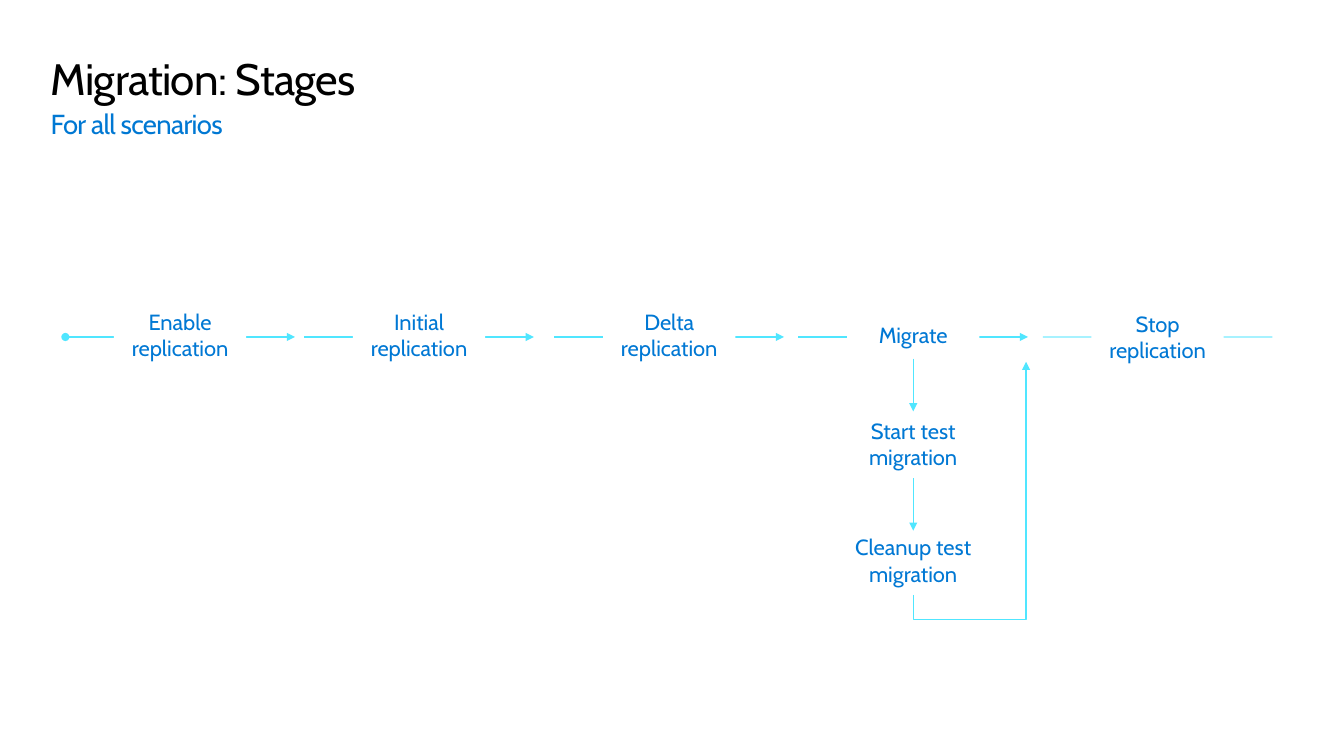
from dataclasses import dataclass

from lxml.etree import SubElement
from pptx import Presentation
from pptx.dml.color import RGBColor
from pptx.enum.shapes import MSO_CONNECTOR, MSO_SHAPE
from pptx.enum.text import MSO_ANCHOR, PP_ALIGN
from pptx.oxml.ns import qn
from pptx.util import Cm, Pt

# Content
TITLE = "Migration: Stages"
SUBTITLE = "For all scenarios"

# Text, line start, box middle, box height, line ends, line width, opacity (cm, pt, %)
STAGES = [
    ("Enable replication", 1.68, 8.61, 1.68, ("oval", "triangle"), 1, 100),
    ("Initial\nreplication", 7.82, 8.61, 1.68, (None, "triangle"), 1, 100),
    ("Delta\nreplication", 14.25, 8.61, 1.68, (None, "triangle"), 1, 100),
    ("Migrate", 20.52, 8.61, 0.94, (None, "triangle"), 1, 100),
    ("Stop\nreplication", 26.8, 8.66, 1.63, (None, None), 1.35, 50),
]
# Text, arrow top, box top (cm)
TEST_STEPS = [
    ("Start test migration", 9.22, 10.57),
    ("Cleanup test migration", 12.29, 13.56),
]


@dataclass(frozen=True)
class Theme:
    font: str = "Cabin"
    title_size: float = 32
    subtitle_size: float = 20
    stage_size: float = 16
    title: str = "000000"
    subtitle: str = "0078D3"
    stage: str = "0078D4"
    flow: str = "50E6FF"
    background: str = "FFFFFF"


THEME = Theme()

# Layout in cm
SLIDE_SIZE = (34.54, 19.43)
LEFT = 1.3
FLOW_Y, FLOW_LENGTH = 8.66, 5.9
STAGE_WIDTH = 3.4
TEST_X, TEST_WIDTH, TEST_HEIGHT, TEST_ARROW = 23.47, 4.55, 1.68, 1.35
RETURN_START, RETURN_END = (TEST_X, 15.29), (26.37, 9.3)
RETURN_DIP = 0.64


def format_text(frame, size, color, align, spacing=None):
    for paragraph in frame.paragraphs:
        paragraph.alignment = align
        for run in paragraph.runs:
            run.font.name = THEME.font
            run.font.size = Pt(size)
            run.font.color.rgb = RGBColor.from_string(color)
            if spacing is not None:
                run.font._element.set("spc", str(round(spacing * 100)))


def add_heading(shape, text, box, size, color):
    shape.left, shape.top, shape.width, shape.height = map(Cm, box)
    frame = shape.text_frame
    frame.word_wrap = True
    frame.vertical_anchor = MSO_ANCHOR.TOP
    frame.margin_left, frame.margin_right = Cm(0), Cm(0.41)
    frame.margin_top = frame.margin_bottom = Cm(0.25)
    frame.text = text
    format_text(frame, size, color, PP_ALIGN.LEFT, -0.5)


def add_step(slide, text, center, middle, width, height):
    box = slide.shapes.add_shape(
        MSO_SHAPE.RECTANGLE, Cm(center - width / 2), Cm(middle - height / 2),
        Cm(width), Cm(height))
    box.shadow.inherit = False
    box.fill.solid()
    box.fill.fore_color.rgb = RGBColor.from_string(THEME.background)
    box.line.fill.background()
    box.text_frame.word_wrap = True
    box.text_frame.text = text
    format_text(box.text_frame, THEME.stage_size, THEME.stage, PP_ALIGN.CENTER)


def add_flow(slide, start, end, ends=(None, "triangle"), width=1, opacity=100,
             kind=MSO_CONNECTOR.STRAIGHT):
    flow = slide.shapes.add_connector(kind, *map(Cm, (*start, *end)))
    flow.line.color.rgb = RGBColor.from_string(THEME.flow)
    flow.line.width = Pt(width)
    outline = flow.line._get_or_add_ln()
    if opacity < 100:
        color = outline.find(".//" + qn("a:srgbClr"))
        SubElement(color, qn("a:alpha"), val=str(opacity * 1000))
    for tag, head in zip(("a:headEnd", "a:tailEnd"), ends):
        if head:
            SubElement(outline, qn(tag), type=head)
    SubElement(flow._element.spPr, qn("a:effectLst"))
    return flow


def add_return(slide):
    # An elbow turned a quarter, so it leaves downwards and arrives upwards
    (x1, y1), (x2, y2) = RETURN_START, RETURN_END
    center, middle = (x1 + x2) / 2, (y1 + y2) / 2
    across, rise = (x2 - x1) / 2, (y1 - y2) / 2
    elbow = add_flow(slide, (center + rise, middle + across),
                     (center - rise, middle - across), kind=MSO_CONNECTOR.ELBOW)
    properties = elbow._element.spPr
    properties.find(qn("a:xfrm")).set("rot", str(90 * 60000))
    geometry = properties.find(qn("a:prstGeom"))
    adjustments = geometry.find(qn("a:avLst"))
    if adjustments is None:
        adjustments = SubElement(geometry, qn("a:avLst"))
    dip = round(-RETURN_DIP / (2 * rise) * 100000)
    SubElement(adjustments, qn("a:gd"), name="adj1", fmla=f"val {dip}")


def main():
    deck = Presentation()
    deck.slide_width, deck.slide_height = map(Cm, SLIDE_SIZE)
    slide = deck.slides.add_slide(deck.slide_layouts[5])

    # Headings
    title = slide.shapes.title
    add_heading(title, TITLE, (LEFT, 1.22, 32.03, 2.31), THEME.title_size, THEME.title)
    title.text_frame.paragraphs[0].line_spacing = 0.9
    subtitle = slide.shapes.add_textbox(0, 0, 0, 0)
    add_heading(subtitle, SUBTITLE, (LEFT, 2.49, 33.02, 1.37),
                THEME.subtitle_size, THEME.subtitle)

    # Main flow: each box covers the middle of its line
    for text, start, middle, height, ends, width, opacity in STAGES:
        add_flow(slide, (start, FLOW_Y), (start + FLOW_LENGTH, FLOW_Y),
                 ends, width, opacity)
        add_step(slide, text, start + FLOW_LENGTH / 2, middle, STAGE_WIDTH, height)

    # Test migration branch
    for text, _, top in TEST_STEPS:
        add_step(slide, text, TEST_X, top + TEST_HEIGHT / 2, TEST_WIDTH, TEST_HEIGHT)
    for _, top, _ in TEST_STEPS:
        add_flow(slide, (TEST_X, top), (TEST_X, top + TEST_ARROW))
    add_return(slide)

    deck.save("out.pptx")


if __name__ == "__main__":
    main()
